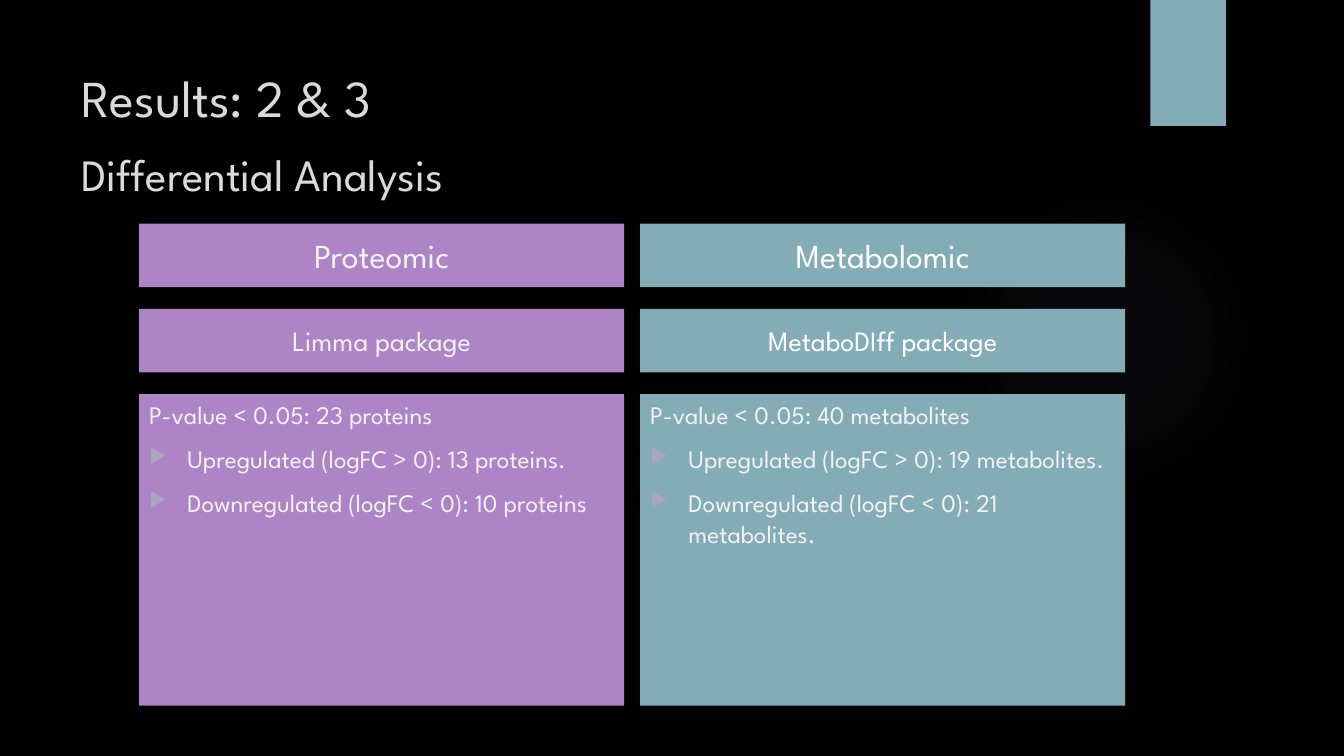
from lxml import etree
from pptx import Presentation
from pptx.dml.color import RGBColor
from pptx.enum.shapes import MSO_SHAPE as SHAPE
from pptx.enum.text import MSO_ANCHOR as ANCHOR, PP_ALIGN as ALIGN
from pptx.oxml.ns import qn
from pptx.util import Inches, Pt

BLACK = RGBColor(0x00, 0x00, 0x00)
WHITE = RGBColor(0xFF, 0xFF, 0xFF)
SOFT_WHITE = RGBColor(0xF2, 0xF2, 0xF2)
TITLE_GREY = RGBColor(0xDC, 0xD8, 0xDC)
PURPLE = RGBColor(0xAD, 0x84, 0xC6)
TEAL = RGBColor(0x84, 0xAC, 0xB6)
GLOW = RGBColor(0x7F, 0x7B, 0x9A)
BULLET = RGBColor(0xAA, 0xA7, 0xBC)


class Deck:
    """Style, grid and current slide."""
    FONT = "League Spartan"
    LEFT, TOP = 1.38, 2.22
    COL_W, COL_STEP = 4.81, 4.97
    ROW_H, ROW_STEP = 0.63, 0.845

    def __init__(self):
        self.prs = Presentation()
        self.prs.slide_width, self.prs.slide_height = Inches(13.33), Inches(7.5)
        self.s = self.prs.slides.add_slide(self.prs.slide_layouts[6])
        fill = self.s.background.fill
        fill.solid()
        fill.fore_color.rgb = BLACK

    def shape(self, kind, x, y, w, h, color):
        sp = self.s.shapes.add_shape(kind, *map(Inches, (x, y, w, h)))
        sp.shadow.inherit = False
        sp.fill.solid()
        sp.fill.fore_color.rgb = color
        sp.line.fill.background()
        return sp

    def glow(self, x, y, size, color, stops):
        """Circle that fades outwards; stops are (position %, opacity %)."""
        sp = self.shape(SHAPE.OVAL, x, y, size, size, color)
        solid = sp.element.spPr.find(qn("a:solidFill"))
        grad = etree.Element(qn("a:gradFill"), rotWithShape="1")
        gs_list = etree.SubElement(grad, qn("a:gsLst"))
        for pos, opacity in stops:
            gs = etree.SubElement(gs_list, qn("a:gs"), pos=str(pos * 1000))
            clr = etree.SubElement(gs, qn("a:srgbClr"), val=str(color))
            etree.SubElement(clr, qn("a:alpha"), val=str(opacity * 1000))
        circle = etree.SubElement(grad, qn("a:path"), path="circle")
        etree.SubElement(circle, qn("a:fillToRect"),
                         dict.fromkeys("ltrb", "50000"))
        sp.element.spPr.replace(solid, grad)

    def style(self, p, size, color):
        p.font.name = self.FONT
        p.font.size = Pt(size)
        p.font.color.rgb = color

    def title(self, x, y, w, h, lines):
        """One paragraph, a (text, size) pair to each line."""
        tf = self.s.shapes.add_textbox(*map(Inches, (x, y, w, h))).text_frame
        tf.word_wrap = True
        p = tf.paragraphs[0]
        p.line_spacing = Pt(52)
        self.style(p, lines[0][1], TITLE_GREY)
        for i, (text, size) in enumerate(lines):
            if i:
                p.add_line_break()
            r = p.add_run()
            r.text = text
            r.font.name = self.FONT
            r.font.size = Pt(size)
            r.font.color.rgb = TITLE_GREY

    def panel(self, col, row, h, fill):
        x = self.LEFT + col * self.COL_STEP
        y = self.TOP + row * self.ROW_STEP
        return self.shape(SHAPE.RECTANGLE, x, y, self.COL_W, h, fill)

    def header(self, col, row, text, size, fill, color):
        tf = self.panel(col, row, self.ROW_H, fill).text_frame
        tf.word_wrap = True
        tf.vertical_anchor = ANCHOR.MIDDLE
        p = tf.paragraphs[0]
        p.text = text
        p.alignment = ALIGN.CENTER
        p.space_before = Pt(10)
        self.style(p, size, color)

    def findings(self, col, row, lines, fill):
        """Lead line followed by bulleted lines."""
        tf = self.panel(col, row, 3.09, fill).text_frame
        tf.word_wrap = True
        tf.vertical_anchor = ANCHOR.TOP
        for i, text in enumerate(lines):
            p = tf.add_paragraph() if i else tf.paragraphs[0]
            p.text = text
            p.alignment = ALIGN.LEFT
            p.space_before = Pt(10)
            self.style(p, 18, SOFT_WHITE)
            if i:
                self.bullet(p)

    def bullet(self, p):
        pPr = p._p.get_or_add_pPr()
        pPr.set("marL", str(Inches(0.38)))
        pPr.set("indent", str(-Inches(0.38)))
        marks = [etree.Element(qn("a:buClr")),
                 etree.Element(qn("a:buSzPct"), val="80000"),
                 etree.Element(qn("a:buChar"), char="▶")]
        etree.SubElement(marks[0], qn("a:srgbClr"), val=str(BULLET))
        at = list(pPr).index(pPr.find(qn("a:defRPr")))
        pPr[at:at] = marks


def main():
    d = Deck()

    # Backdrop
    d.glow(9.41, 1.83, 3.08, GLOW, [(0, 7), (36, 6), (69, 0)])
    d.shape(SHAPE.RECTANGLE, 11.41, 0, 0.75, 1.25, TEAL)

    # Title
    d.title(0.71, 0.5, 10.98, 1.59,
            [("Results: 2 & 3", 37), ("Differential Analysis", 32)])

    # Two columns of results
    columns = [
        ("Proteomic", "Limma package", PURPLE, SOFT_WHITE,
         ["P-value < 0.05: 23 proteins",
          "Upregulated (logFC > 0): 13 proteins.",
          "Downregulated (logFC < 0): 10 proteins"]),
        ("Metabolomic", "MetaboDIff package", TEAL, WHITE,
         ["P-value < 0.05: 40 metabolites",
          "Upregulated (logFC > 0): 19 metabolites.",
          "Downregulated (logFC < 0): 21 metabolites."]),
    ]
    for col, (field, package, fill, color, lines) in enumerate(columns):
        d.header(col, 0, field, 24, fill, color)
        d.header(col, 1, package, 20, fill, color)
        d.findings(col, 2, lines, fill)

    d.prs.save("out.pptx")


if __name__ == "__main__":
    main()
